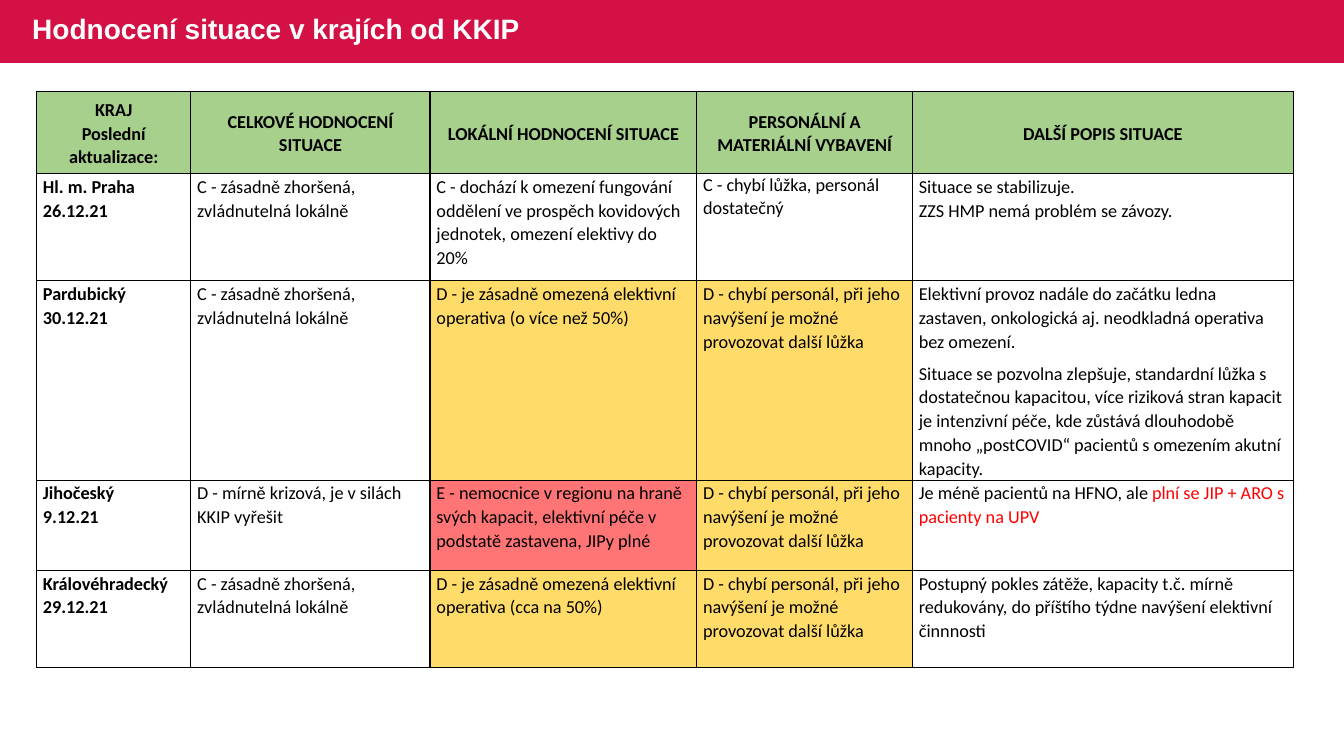
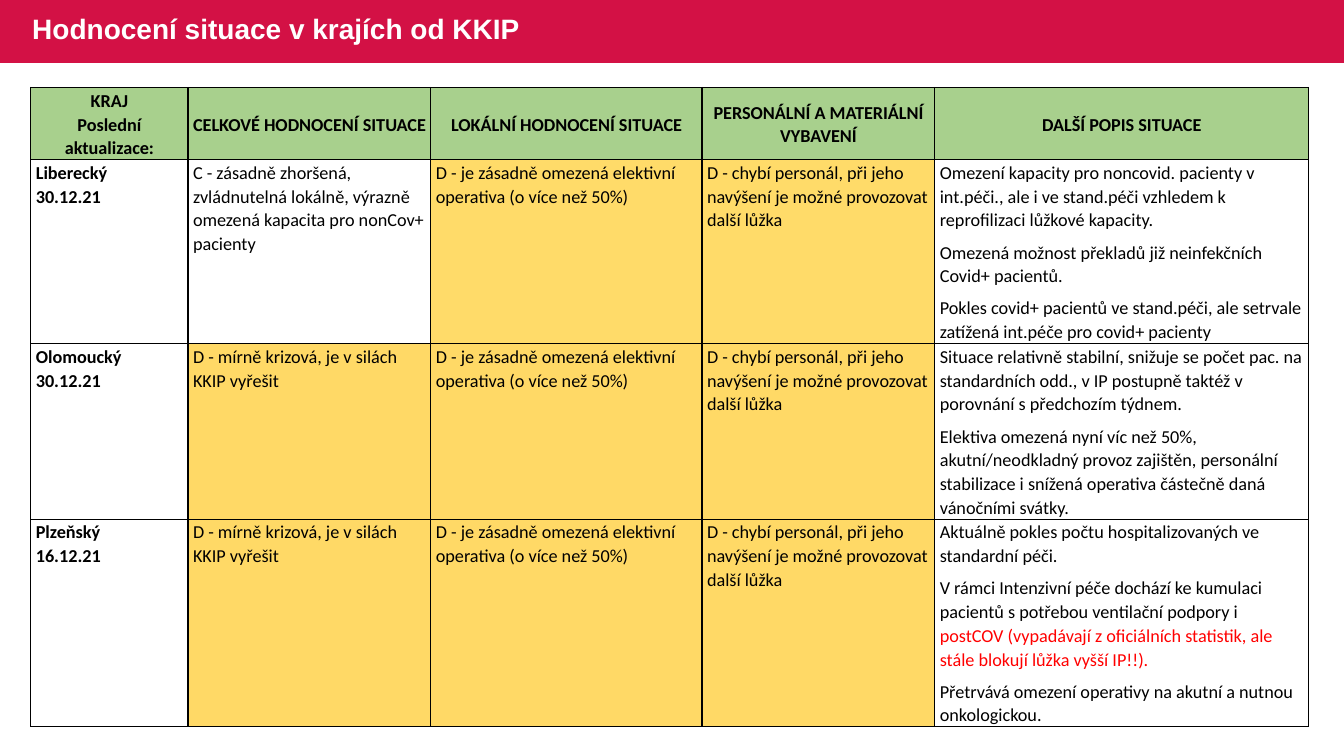
from dataclasses import dataclass

from lxml import etree
from pptx import Presentation
from pptx.dml.color import RGBColor
from pptx.enum.shapes import MSO_SHAPE
from pptx.enum.text import MSO_ANCHOR, MSO_AUTO_SIZE, PP_ALIGN
from pptx.oxml.ns import qn
from pptx.util import Pt

RECTANGLE = MSO_SHAPE.RECTANGLE
TOP, MIDDLE = MSO_ANCHOR.TOP, MSO_ANCHOR.MIDDLE
LEFT, CENTER = PP_ALIGN.LEFT, PP_ALIGN.CENTER
NO_AUTOFIT = MSO_AUTO_SIZE.NONE

SLIDE_WIDTH, SLIDE_HEIGHT = 960, 540
BAND_HEIGHT = 45
TITLE_ONLY = 5
BLACK, WHITE, RED = "000000", "FFFFFF", "FF0000"
CRIMSON, GREEN = "D31145", "A8D08D"
LEVEL_FILLS = {".": WHITE, "y": "FFDB69", "a": "FFD966", "r": "FF7575"}

TITLE = "Hodnocení situace v krajích od KKIP"
TITLE_FONT = {"name": "Arial", "size": Pt(20), "bold": True}
BODY_FONT = {"name": "Calibri", "size": Pt(13), "bold": False}
BOLD_FONT = {**BODY_FONT, "bold": True}

HEADINGS = [
    ["KRAJ", "Poslední aktualizace:"],
    ["CELKOVÉ HODNOCENÍ SITUACE"],
    ["LOKÁLNÍ HODNOCENÍ SITUACE"],
    ["PERSONÁLNÍ A MATERIÁLNÍ VYBAVENÍ"],
    ["DALŠÍ POPIS SITUACE"],
]
WORSENED = "C - zásadně zhoršená, zvládnutelná lokálně"
MILD_CRISIS = "D - mírně krizová, je v silách KKIP vyřešit"
ELECTIVE_LIMITED = "D - je zásadně omezená elektivní operativa (o více než 50%)"
STAFF_MISSING = "D - chybí personál, při jeho navýšení je možné provozovat další lůžka"


@dataclass
class Region:
    name: str
    date: str
    overall: str
    local: str
    resources: str
    notes: list
    fills: str
    height: float
    note_gap: float = 6
    resources_spacing: float = 1.07


@dataclass
class RegionTable:
    left: float
    top: float
    widths: list
    header_height: float
    inset: float
    regions: list


FIRST_TABLE = RegionTable(
    26.1, 65.4, [110.2, 170.9, 190.5, 154.1, 272], 58.6, 4.6,
    [
        Region(
            "Hl. m. Praha", "26.12.21", WORSENED,
            "C - dochází k omezení fungování oddělení ve prospěch kovidových "
            "jednotek, omezení elektivy do 20%",
            "C - chybí lůžka, personál dostatečný",
            ["Situace se stabilizuje.", "ZZS HMP nemá problém se závozy."],
            ".....", 76.6, note_gap=0, resources_spacing=1.0,
        ),
        Region(
            "Pardubický", "30.12.21", WORSENED, ELECTIVE_LIMITED, STAFF_MISSING,
            [
                "Elektivní provoz nadále do začátku ledna zastaven, onkologická aj. "
                "neodkladná operativa bez omezení.",
                "Situace se pozvolna zlepšuje, standardní lůžka s dostatečnou "
                "kapacitou, více riziková stran kapacit je intenzivní péče, kde "
                "zůstává dlouhodobě mnoho „postCOVID“ pacientů s omezením akutní "
                "kapacity.",
            ],
            "..yy.", 142.4,
        ),
        Region(
            "Jihočeský", "9.12.21", MILD_CRISIS,
            "E - nemocnice v regionu na hraně svých kapacit, elektivní péče v "
            "podstatě zastavena, JIPy plné",
            STAFF_MISSING,
            [[
                ("Je méně pacientů na HFNO, ale ", BLACK),
                ("plní se JIP + ARO s pacienty na UPV", RED),
            ]],
            "..ry.", 64.5,
        ),
        Region(
            "Královéhradecký", "29.12.21", WORSENED,
            "D - je zásadně omezená elektivní operativa (cca na 50%)",
            STAFF_MISSING,
            [
                "Postupný pokles zátěže, kapacity t.č. mírně redukovány, do "
                "příštího týdne navýšení elektivní činnnosti",
            ],
            "..yy.", 69.1,
        ),
    ],
)

SECOND_TABLE = RegionTable(
    22, 62.5, [112.3, 173.5, 193.7, 166.3, 267], 51.3, 3.6,
    [
        Region(
            "Liberecký", "30.12.21",
            WORSENED + ", výrazně omezená kapacita pro nonCov+ pacienty",
            ELECTIVE_LIMITED, STAFF_MISSING,
            [
                "Omezení kapacity pro noncovid. pacienty v int.péči., ale i ve "
                "stand.péči vzhledem k reprofilizaci lůžkové kapacity.",
                "Omezená možnost překladů již neinfekčních Covid+ pacientů.",
                "Pokles covid+ pacientů ve stand.péči, ale setrvale zatížená "
                "int.péče pro covid+ pacienty",
            ],
            "..yy.", 131.4,
        ),
        Region(
            "Olomoucký", "30.12.21", MILD_CRISIS, ELECTIVE_LIMITED, STAFF_MISSING,
            [
                "Situace relativně stabilní, snižuje se počet pac. na standardních "
                "odd., v IP postupně taktéž v porovnání s předchozím týdnem.",
                "Elektiva omezená nyní víc než 50%, akutní/neodkladný provoz "
                "zajištěn, personální stabilizace i snížená operativa částečně daná "
                "vánočními svátky.",
            ],
            ".aaa.", 125.2,
        ),
        Region(
            "Plzeňský", "16.12.21", MILD_CRISIS, ELECTIVE_LIMITED, STAFF_MISSING,
            [
                "Aktuálně pokles počtu hospitalizovaných ve standardní péči.",
                [
                    ("V rámci Intenzivní péče dochází ke kumulaci pacientů s "
                     "potřebou ventilační podpory i ", BLACK),
                    ("postCOV (vypadávají z oficiálních statistik, ale stále "
                     "blokují lůžka vyšší IP!!).", RED),
                ],
                "Přetrvává omezení operativy na akutní a nutnou onkologickou.",
            ],
            ".aaa.", 148.3,
        ),
    ],
)


def colour(value):
    return RGBColor.from_string(value)


def apply_format(target, values):
    for name, value in values.items():
        setattr(target, name, value)


def paint(target, value):
    target.fill.solid()
    target.fill.fore_color.rgb = colour(value)


def add_span(para, text, font, text_colour):
    span = para.add_run()
    span.text = text
    apply_format(span.font, font)
    span.font.color.rgb = colour(text_colour)


def add_layout_band(slide):
    band = slide.shapes.add_shape(RECTANGLE, 0, 0, Pt(SLIDE_WIDTH), Pt(BAND_HEIGHT))
    band.shadow.inherit = False
    paint(band, CRIMSON)
    band.line.fill.background()
    band.element.nvSpPr.cNvPr.set("id", "99")
    slide.slide_layout.shapes.element.insert(2, band.element)


def add_title(slide):
    box = slide.shapes.title
    apply_format(box, {"left": Pt(15.8), "top": Pt(-0.7),
                       "width": Pt(586), "height": Pt(BAND_HEIGHT)})
    apply_format(box.text_frame, {"vertical_anchor": MIDDLE, "word_wrap": True,
                                  "auto_size": NO_AUTOFIT})
    para = box.text_frame.paragraphs[0]
    apply_format(para, {"alignment": LEFT, "line_spacing": 0.9})
    add_span(para, TITLE, TITLE_FONT, WHITE)


def add_borders(cell):
    properties = cell._tc.get_or_add_tcPr()
    for side in ("lnL", "lnR", "lnT", "lnB"):
        line = etree.SubElement(properties, qn(f"a:{side}"), w=str(Pt(1)))
        fill = etree.SubElement(line, qn("a:solidFill"))
        etree.SubElement(fill, qn("a:srgbClr"), val=BLACK)


def fill_cell(cell, paragraphs, font, fill, inset, anchor=TOP, alignment=LEFT,
              gap=0, spacing=1.07):
    add_borders(cell)
    paint(cell, fill)
    apply_format(cell, {"margin_left": Pt(inset), "margin_right": Pt(inset),
                        "margin_top": Pt(0.7), "margin_bottom": 0,
                        "vertical_anchor": anchor})
    frame = cell.text_frame
    for index, content in enumerate(paragraphs):
        para = frame.add_paragraph() if index else frame.paragraphs[0]
        apply_format(para, {"alignment": alignment, "line_spacing": spacing,
                            "space_before": Pt(gap if index else 0)})
        spans = [(content, BLACK)] if isinstance(content, str) else content
        for text, text_colour in spans:
            add_span(para, text, font, text_colour)


def fill_region(table, row, region, inset):
    columns = [
        ([region.name, region.date], BOLD_FONT, {}),
        ([region.overall], BODY_FONT, {}),
        ([region.local], BODY_FONT, {}),
        ([region.resources], BODY_FONT, {"spacing": region.resources_spacing}),
        (region.notes, BODY_FONT, {"gap": region.note_gap}),
    ]
    for column, (paragraphs, font, options) in enumerate(columns):
        fill = LEVEL_FILLS[region.fills[column]]
        fill_cell(table.cell(row, column), paragraphs, font, fill, inset, **options)


def add_region_table(slide, content):
    heights = [content.header_height] + [region.height for region in content.regions]
    table = slide.shapes.add_table(
        len(heights), len(content.widths), Pt(content.left), Pt(content.top),
        Pt(sum(content.widths)), Pt(sum(heights))).table
    apply_format(table, {"first_row": False, "horz_banding": False})
    for column, width in zip(table.columns, content.widths):
        column.width = Pt(width)
    for row, height in zip(table.rows, heights):
        row.height = Pt(height)
    for column, heading in enumerate(HEADINGS):
        fill_cell(table.cell(0, column), heading, BOLD_FONT, GREEN, content.inset,
                  MIDDLE, CENTER)
    for row, region in enumerate(content.regions, 1):
        fill_region(table, row, region, content.inset)


def main():
    deck = Presentation()
    apply_format(deck, {"slide_width": Pt(SLIDE_WIDTH), "slide_height": Pt(SLIDE_HEIGHT)})
    layout = deck.slide_layouts[TITLE_ONLY]
    pages = [FIRST_TABLE, SECOND_TABLE]
    for index, content in enumerate(pages):
        page = deck.slides.add_slide(layout)
        if index == 0:
            add_layout_band(page)
        add_title(page)
        add_region_table(page, content)
    deck.save("out.pptx")


if __name__ == "__main__":
    main()
